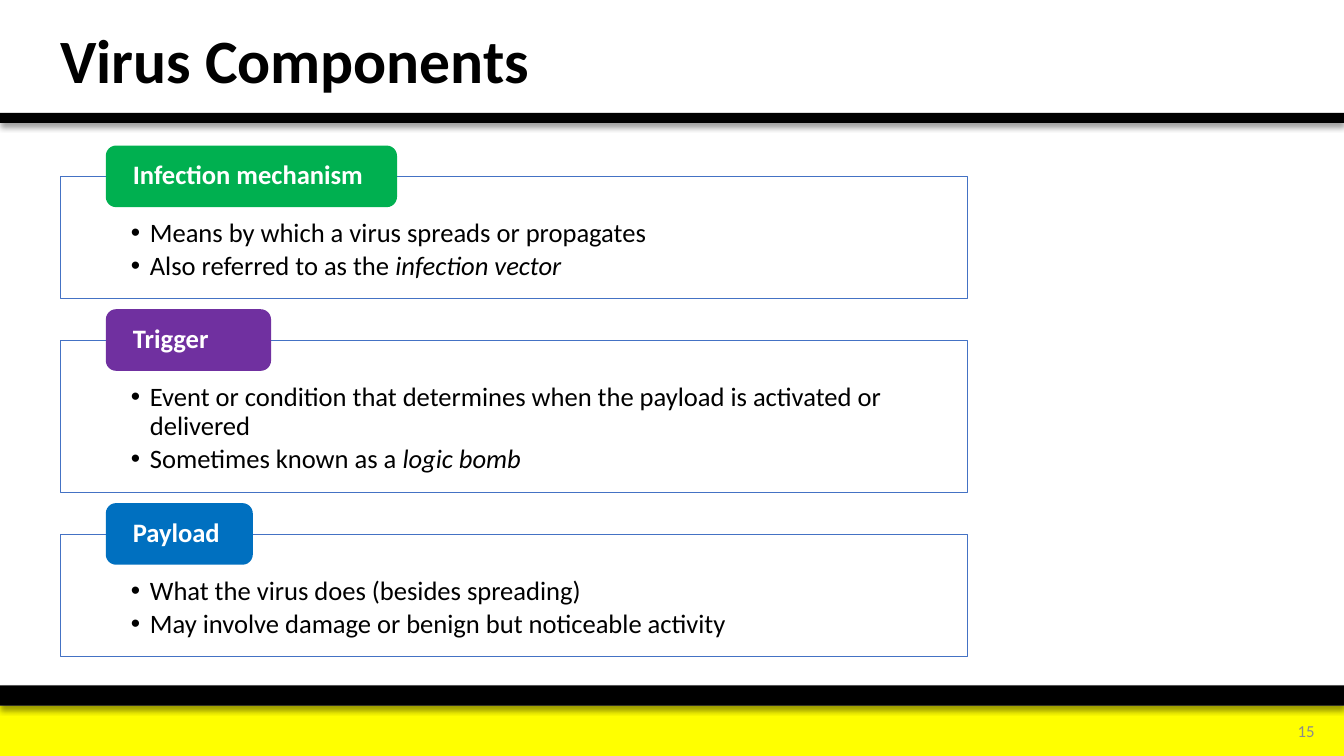
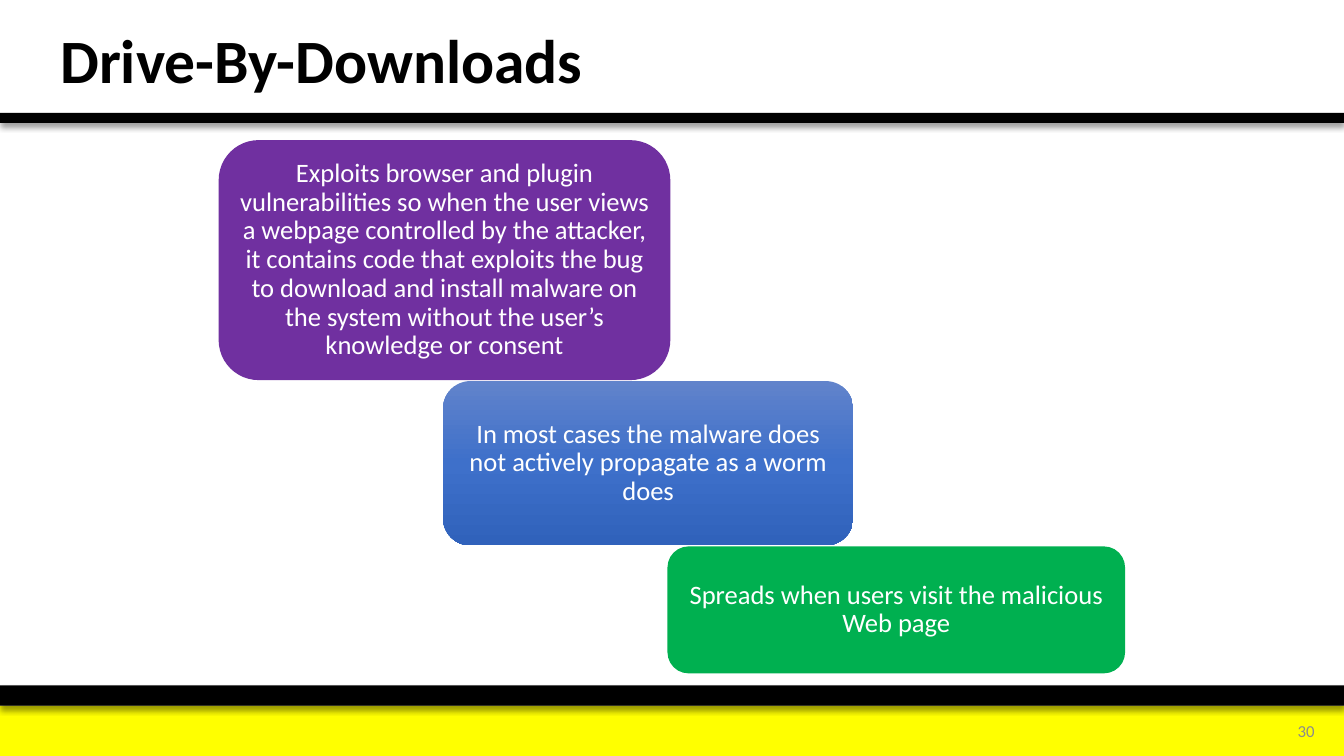
from copy import deepcopy
from lxml import etree
from pptx import Presentation
from pptx.dml.color import RGBColor
from pptx.enum import shapes, text
from pptx.oxml.ns import qn
from pptx.util import Pt

HUES = {"black": "000000", "white": "FFFFFF", "yellow": "FFFF00", "gray": "8C8C8C",
        "green": "00B050", "purple": "7030A0", "blue": "0070C0", "edge": "4472C4",
        "light": "6183CB", "mid": "3E70CA", "deep": "3062BB"}
FONT = "Calibri"
WIDE, HIGH = 960, 540
RECT, ROUND = shapes.MSO_SHAPE.RECTANGLE, shapes.MSO_SHAPE.ROUNDED_RECTANGLE
MID, TOP = text.MSO_ANCHOR.MIDDLE, text.MSO_ANCHOR.TOP
LEFT, RIGHT, MIDST = text.PP_ALIGN.LEFT, text.PP_ALIGN.RIGHT, text.PP_ALIGN.CENTER

# Each point is a list of plain text and, where present, italic text.
PARTS = [
    ("Infection mechanism", "green", 208, 87.1,
     [["Means by which a virus spreads or propagates"],
      ["Also referred to as the ", "infection vector"]]),
    ("Trigger", "purple", 118, 108.7,
     [["Event or condition that determines when the payload is activated or delivered"],
      ["Sometimes known as a ", "logic bomb"]]),
    ("Payload", "blue", 105, 87.1,
     [["What the virus does (besides spreading)"],
      ["May involve damage or benign but noticeable activity"]]),
]
STEPS = [
    ("Exploits browser and plugin vulnerabilities so when the user views a webpage "
     "controlled by the attacker, it contains code that exploits the bug to download "
     "and install malware on the system without the user’s knowledge or consent",
     ["purple"], 322.6, 171.4),
    ("In most cases the malware does not actively propagate as a worm does",
     ["light", "mid", "deep"], 293, 117.4),
    ("Spreads when users visit the malicious Web page", ["green"], 326.9, 90.7),
]


def rgb(hue):
    return RGBColor.from_string(HUES[hue])


def blend(fill, box, hues):
    fill.gradient()
    fill.gradient_angle = 270
    stops = box._element.spPr.find(".//" + qn("a:gsLst"))
    while len(stops) < len(hues):
        stops.append(deepcopy(stops[0]))
    for i, (stop, hue) in enumerate(zip(fill.gradient_stops, hues)):
        stop.color.rgb = rgb(hue)
        stop.position = i / (len(hues) - 1)


def add_box(slide, kind, x, y, w, h, hues, edge=None, shade=False):
    box = slide.shapes.add_shape(kind, Pt(x), Pt(y), Pt(w), Pt(h))
    if len(hues) > 1:
        blend(box.fill, box, hues)
    else:
        box.fill.solid()
        box.fill.fore_color.rgb = rgb(hues[0])
    if edge:
        box.line.color.rgb = rgb(edge)
        box.line.width = Pt(0.5)
    else:
        box.line.fill.background()
    box.shadow.inherit = False
    if shade:
        glow = etree.SubElement(box._element.spPr.find(qn("a:effectLst")), qn("a:outerShdw"),
                                blurRad=str(Pt(4)), dist=str(Pt(3)), dir="5400000",
                                algn="t", rotWithShape="0")
        tint = etree.SubElement(glow, qn("a:srgbClr"), val=HUES["black"])
        etree.SubElement(tint, qn("a:alpha"), val="40000")
    return box


def add_label(slide, x, y, w, h):
    return slide.shapes.add_textbox(Pt(x), Pt(y), Pt(w), Pt(h))


def write(box, paras, size=19, hue="white", bold=False, align=LEFT, anchor=MID,
          pads=(7.2, 3.6, 7.2, 3.6), bullet=False, after=0):
    frame = box.text_frame
    frame.word_wrap = True
    frame.vertical_anchor = anchor
    (frame.margin_left, frame.margin_top,
     frame.margin_right, frame.margin_bottom) = map(Pt, pads)
    for i, runs in enumerate(paras):
        para = frame.add_paragraph() if i else frame.paragraphs[0]
        para.alignment = align
        para.line_spacing = 0.9
        para.space_after = Pt(after)
        if bullet:
            props = para._p.get_or_add_pPr()
            props.set("marL", str(Pt(13.5)))
            props.set("indent", str(Pt(-13.5)))
            etree.SubElement(props, qn("a:buFont"), typeface="Arial")
            etree.SubElement(props, qn("a:buChar"), char="•")
        for j, words in enumerate(runs):
            run = para.add_run()
            run.text = words
            font = run.font
            font.name, font.size, font.bold = FONT, Pt(size), bold
            font.color.rgb = rgb(hue)
            if j:
                font.italic = True


def add_page(deck, title, number):
    slide = deck.slides.add_slide(deck.slide_layouts[6])
    add_box(slide, RECT, 0, 504, WIDE, 36, ["yellow"])
    add_box(slide, RECT, 0, 489.6, WIDE, 14.4, ["black"], shade=True)
    add_box(slide, RECT, 0, 80.6, WIDE, 7.2, ["black"], shade=True)
    write(add_label(slide, 891.4, 508.5, 54.7, 28.8), [[number]], size=12, hue="gray",
          align=RIGHT)
    write(add_label(slide, 36, 5, 648, 80.6), [[title]], size=44, hue="black", bold=True)
    return slide


def add_parts(slide):
    y, gap, tall = 126, 29.8, 44
    for name, hue, wide, high, points in PARTS:
        body = add_box(slide, RECT, 43.2, y, 648, high, ["white"], edge="edge")
        write(body, points, hue="black", anchor=TOP, pads=(50.4, 31, 50.4, 10.8),
              bullet=True, after=3)
        tab = add_box(slide, ROUND, 75.6, y - tall / 2, wide, tall, [hue])
        write(tab, [[name]], bold=True, pads=(17.2, 0, 17.2, 0))
        y += high + gap


def add_steps(slide):
    x, y = 156.2, 100.1
    for words, hues, wide, high in STEPS:
        box = add_box(slide, ROUND, x, y, wide, high, hues)
        write(box, [[words]], align=MIDST, pads=(5.8, 2.9, 5.8, 2.9))
        x += 160.3
        y += high + 0.7


def main():
    deck = Presentation()
    deck.slide_width, deck.slide_height = Pt(WIDE), Pt(HIGH)
    add_parts(add_page(deck, "Virus Components", "15"))
    add_steps(add_page(deck, "Drive-By-Downloads", "30"))
    deck.save("out.pptx")


if __name__ == "__main__":
    main()
